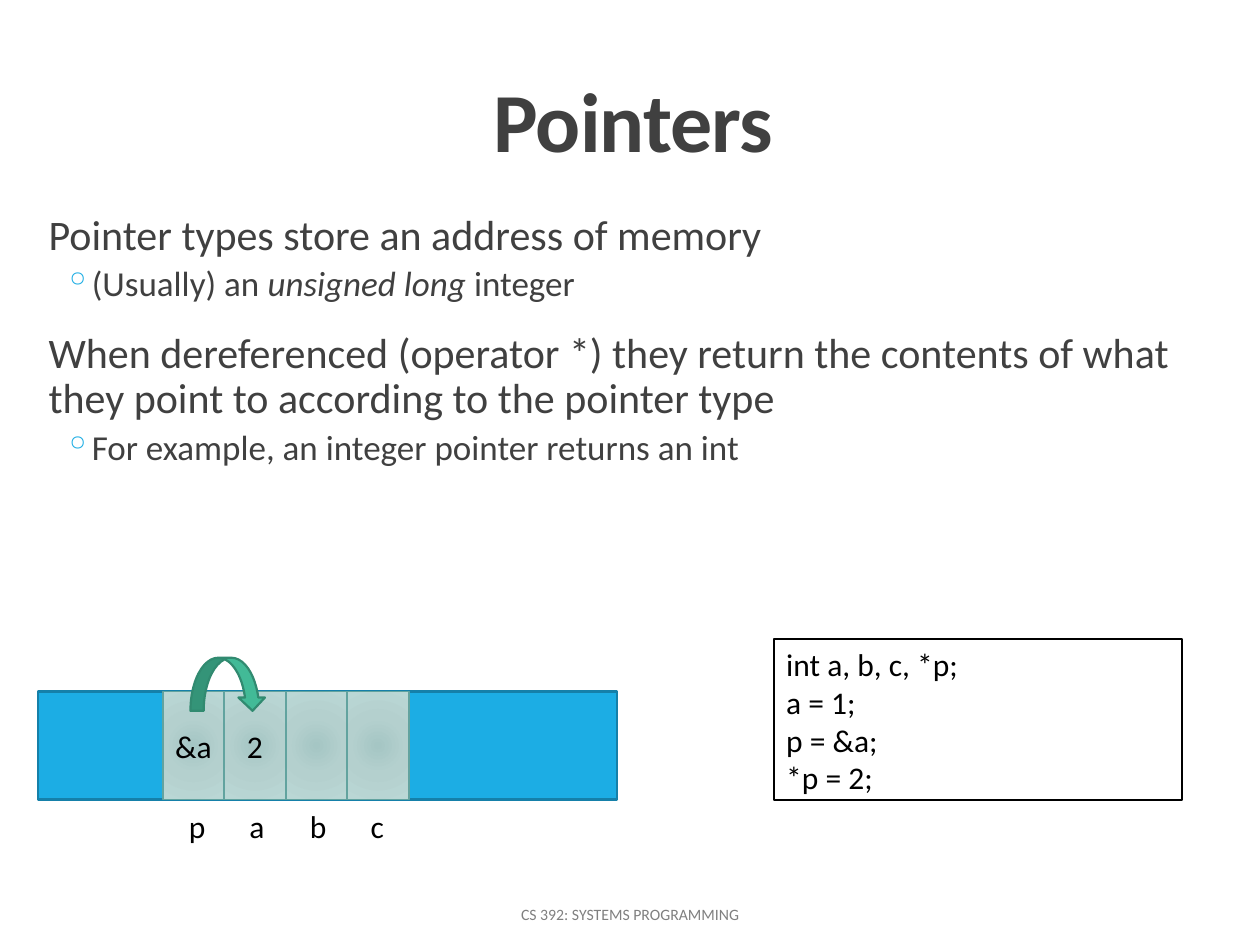
from lxml import etree
from pptx import Presentation
from pptx import util as u
from pptx.dml.color import RGBColor
from pptx.enum import shapes, text
from pptx.oxml import parse_xml
from pptx.oxml.ns import nsdecls, qn

SHAPE = shapes.MSO_SHAPE
ALIGN = text.PP_ALIGN
ANCHOR = text.MSO_ANCHOR


def color(value):
    return RGBColor.from_string(value)


def add_text(paragraph, words, size=18, fill="000000", bold=False, italic=False, spacing=None):
    run = paragraph.add_run()
    run.text = words
    font = run.font
    font.name = "Calibri"
    font.size = u.Pt(size)
    font.bold = bold
    font.italic = italic
    font.color.rgb = color(fill)
    if spacing is not None:
        run._r.get_or_add_rPr().set("spc", str(spacing))


def add_bullet(paragraph, char, fill):
    properties = paragraph._p.get_or_add_pPr()
    bullet_color = etree.SubElement(properties, qn("a:buClr"))
    etree.SubElement(bullet_color, qn("a:srgbClr"), val=fill)
    etree.SubElement(properties, qn("a:buChar"), char=char)


def radial_fill(stops):
    marks = "".join(
        f'<a:gs pos="{position * 1000}"><a:srgbClr val="{value}"/></a:gs>'
        for position, value in stops
    )
    return parse_xml(
        f'<a:gradFill {nsdecls("a")} rotWithShape="1"><a:gsLst>{marks}</a:gsLst>'
        '<a:path path="circle"><a:fillToRect l="100000" t="100000" r="100000" b="100000"/>'
        "</a:path></a:gradFill>"
    )


class SlideBuilder:
    ink = "404040"
    accent = "1CADE4"
    cell_stops = [(0, "A5C6C4"), (45, "B4D0CE"), (100, "BAD7D5")]

    def __init__(self, deck):
        self.slide = deck.slides.add_slide(deck.slide_layouts[5])

    def title(self, words, left, top, width, height):
        heading = self.slide.shapes.title
        heading.left, heading.top = u.Cm(left), u.Cm(top)
        heading.width, heading.height = u.Cm(width), u.Cm(height)
        frame = heading.text_frame
        frame.auto_size = text.MSO_AUTO_SIZE.NONE
        frame.vertical_anchor = ANCHOR.BOTTOM
        paragraph = frame.paragraphs[0]
        paragraph.alignment = ALIGN.CENTER
        paragraph.line_spacing = 0.85
        add_text(paragraph, words, size=48, fill=self.ink, bold=True, spacing=-50)

    def text_box(self, left, top, width, height, wrap=True):
        box = self.slide.shapes.add_textbox(u.Cm(left), u.Cm(top), u.Cm(width), u.Cm(height))
        box.text_frame.word_wrap = wrap
        return box.text_frame

    def label(self, words, left, top, width, height):
        frame = self.text_box(left, top, width, height, wrap=False)
        add_text(frame.paragraphs[0], words)

    def footer(self, words, left, top, width, height):
        frame = self.text_box(left, top, width, height)
        frame.vertical_anchor = ANCHOR.MIDDLE
        frame.paragraphs[0].alignment = ALIGN.CENTER
        add_text(frame.paragraphs[0], words, size=9, fill="808080")

    def outline(self, points, left, top, width, height):
        frame = self.text_box(left, top, width, height)
        for number, (level, runs) in enumerate(points):
            paragraph = frame.add_paragraph() if number else frame.paragraphs[0]
            paragraph.level = level
            paragraph.line_spacing = 0.9
            paragraph.space_before = u.Pt((2 if level else 12) if number else 0)
            paragraph.space_after = u.Pt(4 if level else 2)
            properties = paragraph._p.get_or_add_pPr()
            properties.set("marL", str(u.Cm(1.07 if level else 0.25)))
            properties.set("indent", str(u.Cm(-0.51 if level else 0)))
            if level:
                add_bullet(paragraph, "◦", self.accent)
            for words, italic in runs:
                add_text(paragraph, words, size=20 if level else 24, fill=self.ink, italic=italic)

    def shape(self, kind, left, top, width, height, fill, line, weight=1.25):
        item = self.slide.shapes.add_shape(kind, u.Cm(left), u.Cm(top), u.Cm(width), u.Cm(height))
        item.shadow.inherit = False
        item.fill.solid()
        item.fill.fore_color.rgb = color(fill)
        item.line.color.rgb = color(line)
        item.line.width = u.Pt(weight)
        return item

    def cell(self, value, left, top, width, height):
        item = self.shape(SHAPE.RECTANGLE, left, top, width, height, "BAD7D5", "62A39F", 1)
        solid = item._element.spPr.find(qn("a:solidFill"))
        solid.getparent().replace(solid, radial_fill(self.cell_stops))
        if value:
            frame = item.text_frame
            frame.word_wrap = True
            frame.vertical_anchor = ANCHOR.MIDDLE
            frame.paragraphs[0].alignment = ALIGN.CENTER
            add_text(frame.paragraphs[0], value)

    def code(self, lines, left, top, width, height):
        item = self.shape(SHAPE.RECTANGLE, left, top, width, height, "FFFFFF", "000000")
        frame = item.text_frame
        frame.word_wrap = True
        frame.vertical_anchor = ANCHOR.TOP
        for number, line in enumerate(lines):
            paragraph = frame.add_paragraph() if number else frame.paragraphs[0]
            paragraph.alignment = ALIGN.LEFT
            add_text(paragraph, line)


def main():
    deck = Presentation()
    deck.slide_width, deck.slide_height = u.Cm(25.4), u.Cm(19.05)
    page = SlideBuilder(deck)

    page.title("Pointers", 2.29, 0.1, 20.96, 3.45)
    page.footer("CS 392: SYSTEMS PROGRAMMING", 7.67, 17.93, 10.06, 1.02)

    memory_top, memory_height = 13.94, 2.18
    page.shape(SHAPE.RECTANGLE, 0.76, memory_top, 11.68, memory_height, page.accent, "1580A9")
    variables = [("p", "&a"), ("a", "2"), ("b", ""), ("c", "")]
    for column, (name, value) in enumerate(variables):
        page.cell(value, 3.28 + column * 1.24, memory_top, 1.24, memory_height)
        page.label(name, 3.56 + column * 1.22, 16.14, 0.86, 1.02)
    page.shape(SHAPE.CURVED_DOWN_ARROW, 3.84, 13.26, 1.52, 1.07, "42BA97", "318A70")

    points = [
        (0, [("Pointer types store an address of memory", False)]),
        (1, [("(Usually) an ", False), ("unsigned long", True), (" integer", False)]),
        (0, [("When dereferenced (operator *) they return the contents of what "
              "they point to according to the pointer type", False)]),
        (1, [("For example, an integer pointer returns an int", False)]),
    ]
    page.outline(points, 0.48, 4.19, 24.43, 8.79)
    page.code(["int a, b, c, *p;", "a = 1;", "p = &a;", "*p = 2;"], 15.6, 12.88, 8.23, 3.25)

    deck.save("out.pptx")


if __name__ == "__main__":
    main()
